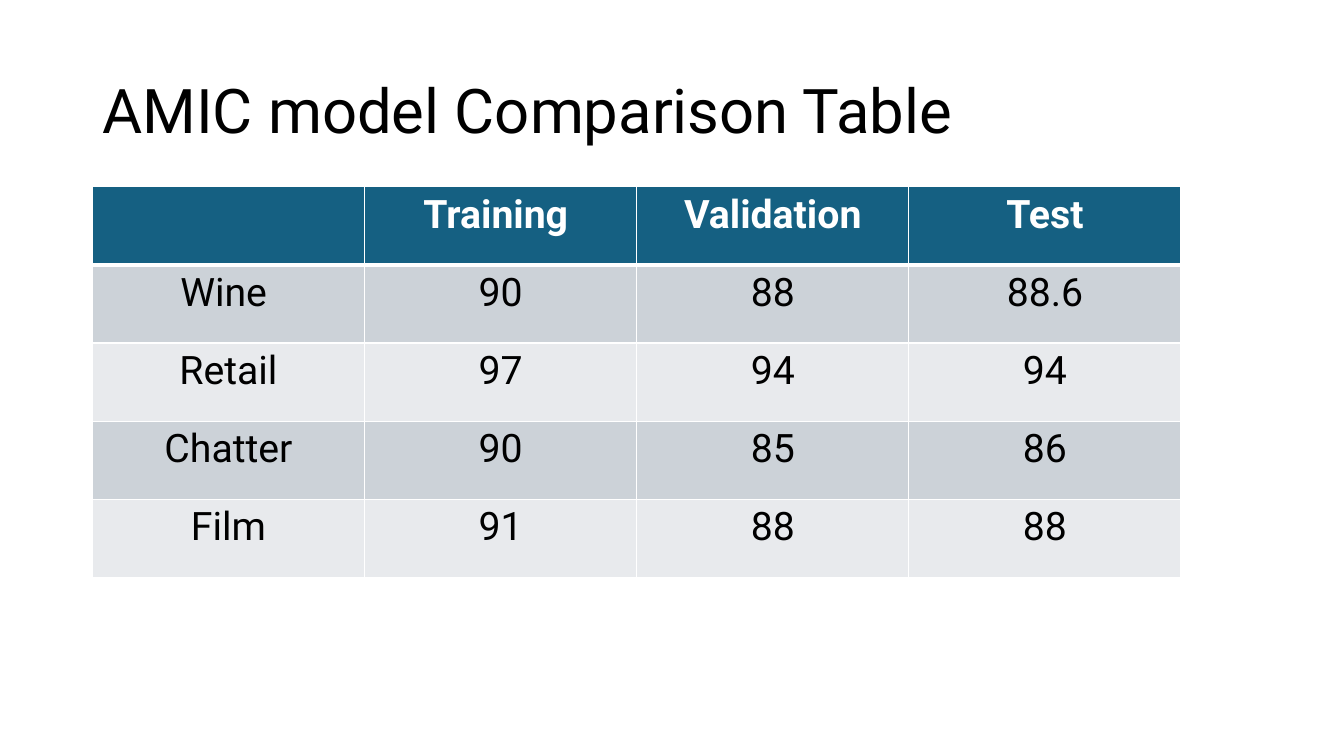
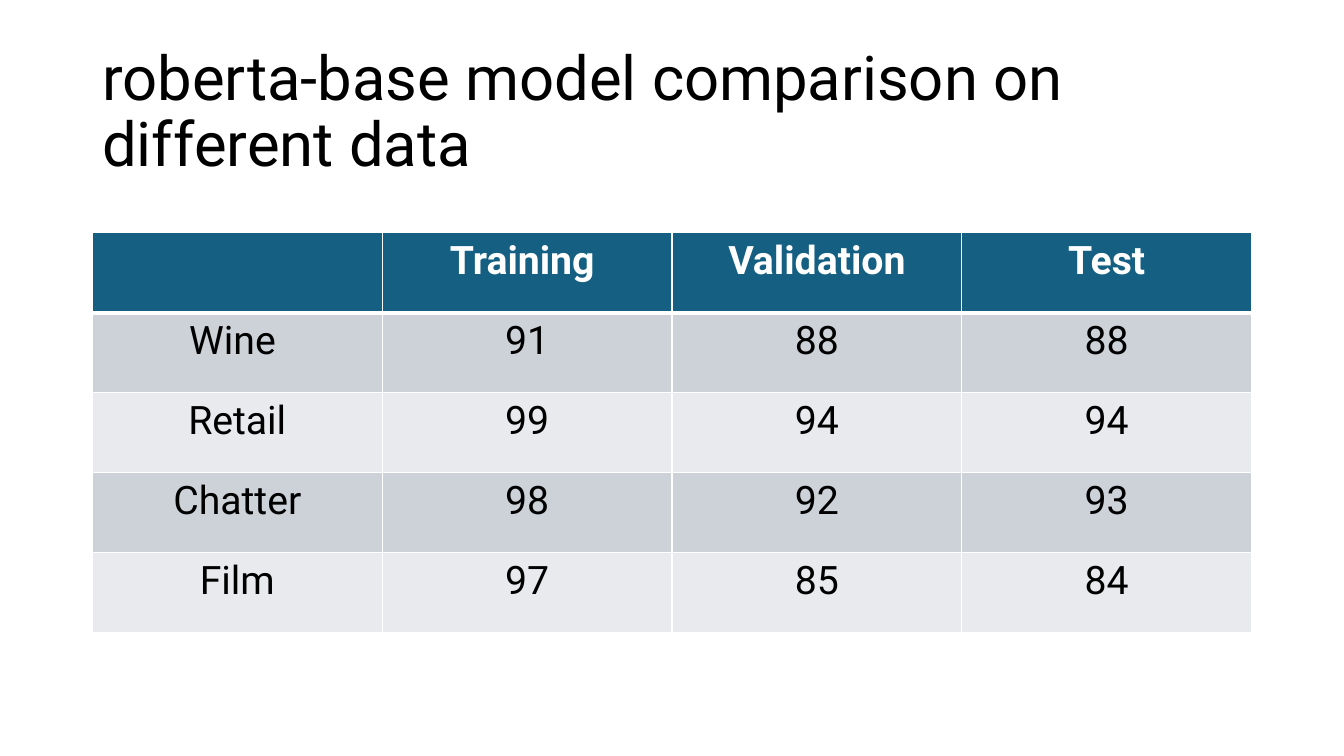
from lxml import etree
from pptx import Presentation
from pptx.dml.color import RGBColor
from pptx.enum.text import MSO_ANCHOR, PP_ALIGN
from pptx.oxml.ns import qn
from pptx.util import Pt

CENTER = PP_ALIGN.CENTER
MIDDLE = MSO_ANCHOR.MIDDLE
BLANK_LAYOUT = 6

COLORS = {
    "text": "000000",
    "header": "156082",
    "header_text": "FFFFFF",
    "odd_row": "CCD2D8",
    "even_row": "E8EAED",
    "border": "FFFFFF",
}
FONT = "Roboto"
TITLE_FORMAT = {"name": FONT, "size": Pt(44), "bold": False}
HEADER_FORMAT = {"name": FONT, "size": Pt(28), "bold": True}
BODY_FORMAT = {"name": FONT, "size": Pt(28), "bold": False}

# Boxes are left, top, width, height in points
TITLE_BOX = (66, 28.8, 828, 104.4)
THIN, THICK = 1, 3

HEADINGS = ["", "Training ", "Validation", "Test"]
DATA_SETS = ["Wine ", "Retail", "Chatter", "Film"]
SLIDES = [
    {
        "title": "AMIC model Comparison Table",
        "table_box": (66, 133.4, 777.6, 279.2),
        "scores": [("90", "88", "88.6"), ("97", "94", "94"),
                   ("90", "85", "86"), ("91", "88", "88")],
    },
    {
        "title": "roberta-base model comparison on different data",
        "table_box": (66, 166.3, 828, 285.8),
        "scores": [("91", "88", "88"), ("99", "94", "94"),
                   ("98", "92", "93"), ("97", "85", "84")],
    },
]


def rgb(name):
    return RGBColor.from_string(COLORS[name])


def write(paragraph, text, font_format, color):
    run = paragraph.add_run()
    run.text = text
    for attribute, value in font_format.items():
        setattr(run.font, attribute, value)
    run.font.color.rgb = rgb(color)


def set_borders(cell, widths):
    """Draw the cell borders; widths maps a side (L, R, T, B) to points."""
    properties = cell._tc.get_or_add_tcPr()
    for side, width in widths.items():
        line = etree.SubElement(properties, qn(f"a:ln{side}"), w=str(Pt(width)))
        fill = etree.SubElement(line, qn("a:solidFill"))
        etree.SubElement(fill, qn("a:srgbClr"), val=COLORS["border"])


def add_title(slide, box, text):
    shape = slide.shapes.add_textbox(*map(Pt, box))
    frame = shape.text_frame
    frame.word_wrap = True
    frame.vertical_anchor = MIDDLE
    paragraph = frame.paragraphs[0]
    paragraph.line_spacing = 0.9
    write(paragraph, text, TITLE_FORMAT, "text")


def fill_cell(cell, text, row_index):
    is_header = row_index == 0
    set_borders(cell, {
        "L": THIN,
        "R": THIN,
        "T": THICK if row_index == 1 else THIN,
        "B": THICK if is_header else THIN,
    })
    band = "odd_row" if row_index % 2 else "even_row"
    cell.fill.solid()
    cell.fill.fore_color.rgb = rgb("header" if is_header else band)
    if text:
        paragraph = cell.text_frame.paragraphs[0]
        paragraph.alignment = CENTER
        write(paragraph, text, HEADER_FORMAT if is_header else BODY_FORMAT,
              "header_text" if is_header else "text")


def add_score_table(slide, box, scores):
    rows = [HEADINGS] + [[name, *values] for name, values in zip(DATA_SETS, scores)]
    left, top, width, height = map(Pt, box)
    table = slide.shapes.add_table(
        len(rows), len(HEADINGS), left, top, width, height).table
    table.horz_banding = False
    for row_index, texts in enumerate(rows):
        for column_index, text in enumerate(texts):
            fill_cell(table.cell(row_index, column_index), text, row_index)


def add_comparison_slide(presentation, content):
    slide = presentation.slides.add_slide(presentation.slide_layouts[BLANK_LAYOUT])
    add_title(slide, TITLE_BOX, content["title"])
    add_score_table(slide, content["table_box"], content["scores"])


def main():
    presentation = Presentation()
    presentation.slide_width, presentation.slide_height = Pt(960), Pt(540)
    for content in SLIDES:
        add_comparison_slide(presentation, content)
    presentation.save("out.pptx")


if __name__ == "__main__":
    main()
